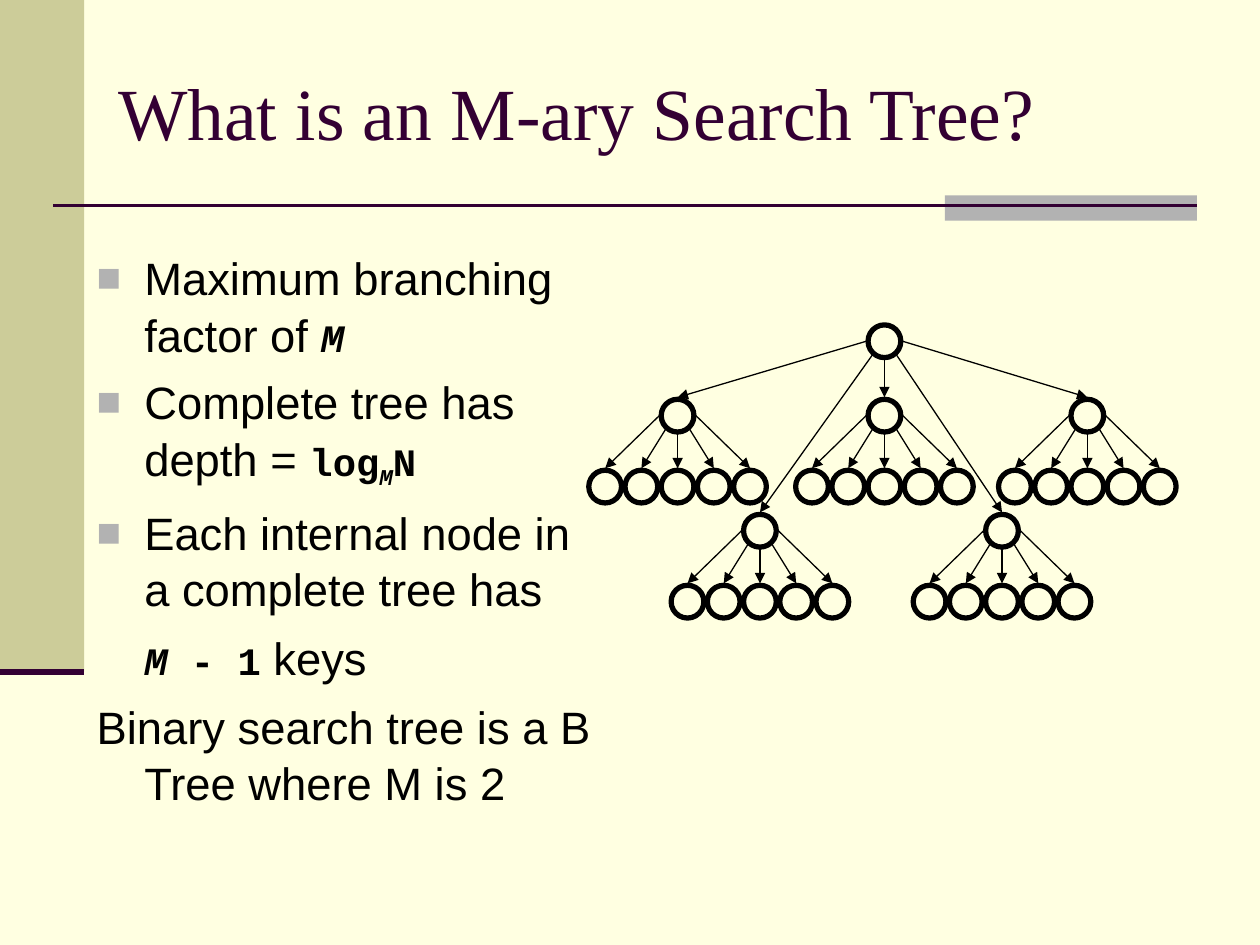
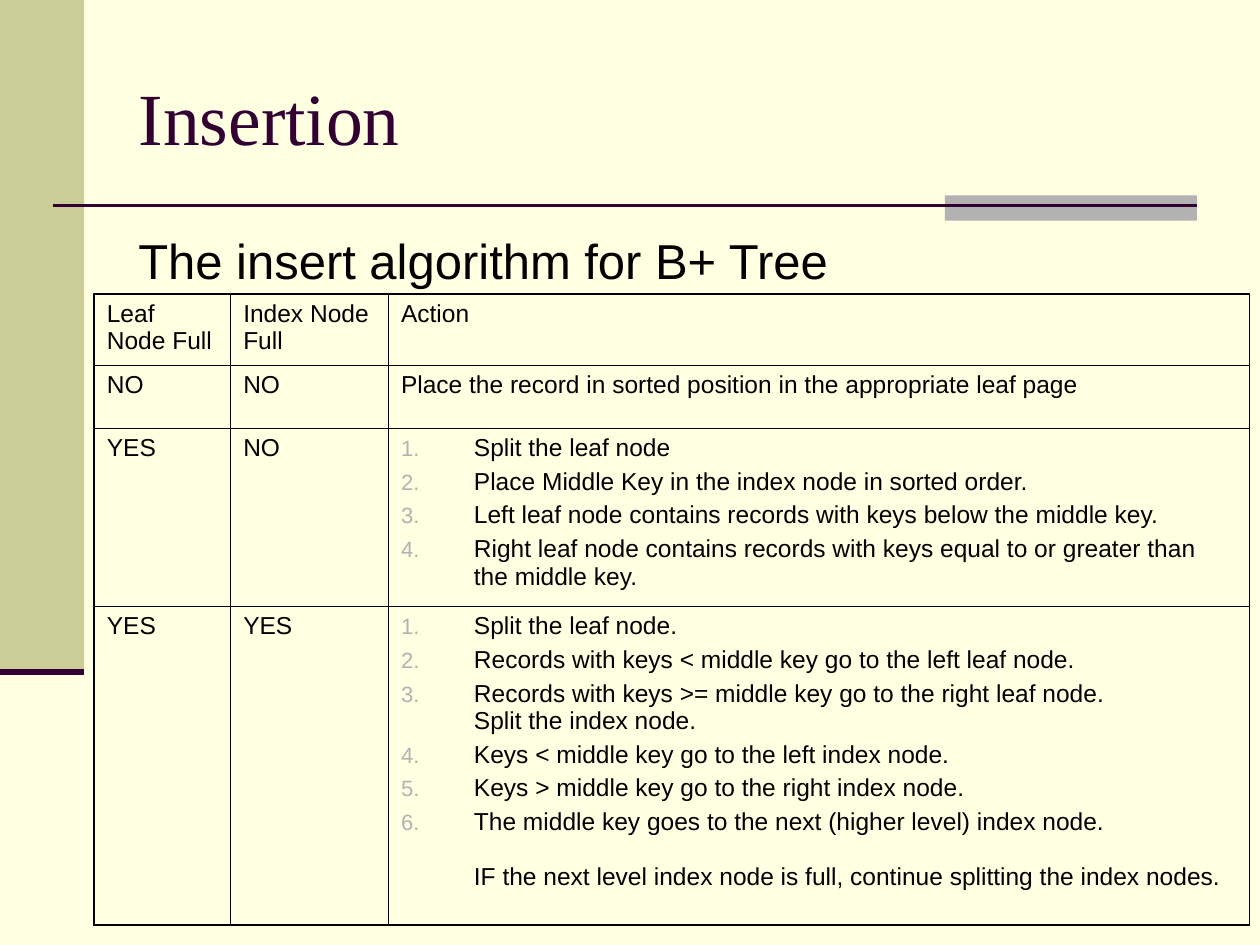
from pptx import Presentation
from pptx import util as u
from pptx.dml.color import RGBColor
from pptx.enum import shapes, text
from pptx.oxml import parse_xml
from pptx.oxml.ns import nsdecls, qn

CREAM, OLIVE, GREY, PLUM, BLACK = "FFFFE1", "CCCC99", "B2B2B2", "330033", "000000"

BANDS = [(0, 0, 1.7, 13.54, OLIVE), (19.05, 3.94, 5.08, 0.51, GREY)]
RULES = [((1.07, 4.14), (24.13, 4.14), 1.5), ((0, 13.54), (1.7, 13.54), 3.5)]

TITLE_FONT = {"name": "Times New Roman", "size": u.Pt(42)}
BODY_FONT = {"name": "Arial", "size": u.Pt(25.9)}
HEADING_FONT = {"name": "Arial", "size": u.Pt(28)}
CELL_FONT = {"name": "Arial", "size": u.Pt(14)}
CODE_FONT = {"name": "Courier New", "size": u.Pt(22.2), "bold": True}
VARIABLE_FONT = CODE_FONT | {"italic": True}

SQUARE = '<a:buChar {} char="■"/>'
NUMBER = '<a:buAutoNum {} type="arabicPeriod"/>'
HANG, NUMBER_HANG = 0.96, 1.47

TREE_FACTS = [
    (SQUARE, -HANG, 0, [("Maximum branching factor of ", {}), ("M", VARIABLE_FONT)]),
    (SQUARE, -HANG, 6, [("Complete tree has depth = ", {}), ("log", CODE_FONT),
                        ("M", VARIABLE_FONT | {"subscript": True}), ("N", CODE_FONT)]),
    (SQUARE, -HANG, 7, [("Each internal node in a complete tree has", {})]),
    (None, 0, 7, [("M ", VARIABLE_FONT), ("- 1", CODE_FONT), (" keys", {})]),
    (None, -HANG, 7, [("Binary search tree is a B Tree where M is 2", {})]),
]

ROOT = (17.83, 6.88)
INTERNAL_NODES = [(13.66, 8.38), (15.32, 10.7), (17.83, 8.38), (20.2, 10.7), (21.92, 8.38)]
NODE_SIZE, LEAF_STEP, LEAF_DROP = 0.66, 0.73, 1.43
ARROW_STARTS = [(-0.37, 0), (-0.24, 0.27), (0, 0.37), (0.24, 0.27), (0.37, 0)]

COLUMN_WIDTHS = [2.75, 3.18, 17.36]
ROW_HEIGHTS = [1.44, 1.27, 3.58, 6.43]
OUTER_BORDER, INNER_BORDER = 1.08, 0.45
INSERT_RULES = [
    ("Leaf Node Full", "Index Node Full", "Action"),
    ("NO", "NO", "Place the record in sorted position in the appropriate leaf page"),
    ("YES", "NO", [
        "Split the leaf node",
        "Place Middle Key in the index node in sorted order.",
        "Left leaf node contains records with keys below the middle key.",
        "Right leaf node contains records with keys equal to or greater than the middle key.",
    ]),
    ("YES", "YES", [
        "Split the leaf node.",
        "Records with keys < middle key go to the left leaf node.",
        "Records with keys >= middle key go to the right leaf node.\vSplit the index node.",
        "Keys < middle key go to the left index node.",
        "Keys > middle key go to the right index node.",
        "The middle key goes to the next (higher level) index node.",
    ]),
]
OVERFLOW_NOTE = "IF the next level index node is full, continue splitting the index nodes."


def rgb(value):
    return RGBColor.from_string(value)


def cm(*values):
    return [u.Cm(value) for value in values]


def set_font(font, values, color=BLACK):
    values = dict(values)
    if values.pop("subscript", False):
        font._element.set("baseline", "-25000")
    for name, value in values.items():
        setattr(font, name, value)
    font.color.rgb = rgb(color)


def format_paragraph(paragraph, bullet=None, margin=0, indent=0, space=0):
    properties = paragraph._p.get_or_add_pPr()
    properties.set("marL", str(u.Cm(margin)))
    properties.set("indent", str(u.Cm(indent)))
    if bullet:
        for xml in (f'<a:buClr {{}}><a:srgbClr val="{GREY}"/></a:buClr>',
                    '<a:buSzPct {} val="90000"/>',
                    '<a:buFont {} typeface="Arial"/>', bullet):
            properties.append(parse_xml(xml.format(nsdecls("a"))))
    paragraph.space_before = u.Pt(space)


def next_paragraph(frame, index):
    return frame.add_paragraph() if index else frame.paragraphs[0]


def add_line(slide, start, end, width, color=BLACK, arrow=False):
    line = slide.shapes.add_connector(shapes.MSO_CONNECTOR.STRAIGHT, *cm(*start, *end))
    line.line.width = u.Pt(width)
    line.line.color.rgb = rgb(color)
    if arrow:
        line.line._get_or_add_ln().append(
            parse_xml(f'<a:tailEnd {nsdecls("a")} type="triangle"/>'))
    line._element.spPr.append(parse_xml(f'<a:effectLst {nsdecls("a")}/>'))


def add_text_box(slide, *box):
    frame = slide.shapes.add_textbox(*cm(*box)).text_frame
    frame.word_wrap = True
    return frame


def add_slide(presentation, title, left, top, width):
    slide = presentation.slides.add_slide(presentation.slide_layouts[5])
    for *box, color in BANDS:
        band = slide.shapes.add_shape(shapes.MSO_SHAPE.RECTANGLE, *cm(*box))
        band.shadow.inherit = False
        band.fill.solid()
        band.fill.fore_color.rgb = rgb(color)
        band.line.fill.background()
    for start, end, width_points in RULES:
        add_line(slide, start, end, width_points, PLUM)
    shape = slide.shapes.title
    shape.left, shape.top, shape.width, shape.height = cm(left, top, width, 3.18)
    frame = shape.text_frame
    frame.text = title
    frame.auto_size = text.MSO_AUTO_SIZE.NONE
    frame.vertical_anchor = text.MSO_ANCHOR.MIDDLE
    paragraph = frame.paragraphs[0]
    paragraph.alignment = text.PP_ALIGN.LEFT
    set_font(paragraph.runs[0].font, TITLE_FONT, PLUM)
    return slide


def add_node(slide, x, y):
    half = NODE_SIZE / 2
    node = slide.shapes.add_shape(
        shapes.MSO_SHAPE.OVAL, *cm(x - half, y - half, NODE_SIZE, NODE_SIZE))
    node.shadow.inherit = False
    node.fill.background()
    node.line.color.rgb = rgb(BLACK)
    node.line.width = u.Pt(3)


def add_family(slide, parent, children):
    x, y = parent
    add_node(slide, x, y)
    for (dx, dy), (child_x, child_y) in zip(ARROW_STARTS, children):
        add_line(slide, (x + dx, y + dy), (child_x, child_y - 0.37), 0.75, arrow=True)


def add_tree(slide):
    for x, y in INTERNAL_NODES:
        leaves = [(x + step * LEAF_STEP, y + LEAF_DROP) for step in range(-2, 3)]
        for leaf in leaves:
            add_node(slide, *leaf)
        add_family(slide, (x, y), leaves)
    add_family(slide, ROOT, INTERNAL_NODES)


def add_facts(slide):
    frame = add_text_box(slide, 1.7, 4.88, 10.8, 11.43)
    for index, (bullet, indent, space, runs) in enumerate(TREE_FACTS):
        paragraph = next_paragraph(frame, index)
        format_paragraph(paragraph, bullet, HANG, indent, space)
        paragraph.line_spacing = 1.04
        for words, font in runs:
            run = paragraph.add_run()
            run.text = words
            set_font(run.font, BODY_FONT | font)


def set_borders(cell, row, column):
    outer = {"lnL": column == 0, "lnR": column == len(COLUMN_WIDTHS) - 1,
             "lnT": row == 0, "lnB": row == len(ROW_HEIGHTS) - 1}
    properties = cell._tc.get_or_add_tcPr()
    for side, is_outer in outer.items():
        width = u.Pt(OUTER_BORDER if is_outer else INNER_BORDER)
        properties.append(parse_xml(
            f'<a:{side} {nsdecls("a")} w="{width}"><a:solidFill>'
            f'<a:srgbClr val="{BLACK}"/></a:solidFill></a:{side}>'))


def fill_cell(cell, content):
    steps = content if isinstance(content, list) else None
    frame = cell.text_frame
    for index, words in enumerate(steps or [content]):
        paragraph = next_paragraph(frame, index)
        if steps:
            format_paragraph(paragraph, NUMBER, NUMBER_HANG, -NUMBER_HANG, 3.5 if index else 0)
        paragraph.text = words
    if steps is INSERT_RULES[-1][-1]:
        paragraph = frame.add_paragraph()
        format_paragraph(paragraph, None, NUMBER_HANG, 0, 16)
        paragraph.text = OVERFLOW_NOTE
    for paragraph in frame.paragraphs:
        for run in paragraph.runs:
            set_font(run.font, CELL_FONT)


def add_rules_table(slide):
    table = slide.shapes.add_table(
        len(ROW_HEIGHTS), len(COLUMN_WIDTHS),
        *cm(1.9, 5.92, sum(COLUMN_WIDTHS), sum(ROW_HEIGHTS))).table
    table.first_row = table.horz_banding = False
    for column, width in zip(table.columns, COLUMN_WIDTHS):
        column.width = u.Cm(width)
    for row, height in zip(table.rows, ROW_HEIGHTS):
        row.height = u.Cm(height)
    for row, contents in enumerate(INSERT_RULES):
        for column, content in enumerate(contents):
            cell = table.cell(row, column)
            set_borders(cell, row, column)
            cell.fill.background()
            fill_cell(cell, content)


def main():
    presentation = Presentation()
    presentation.slide_width, presentation.slide_height = cm(25.4, 19.05)
    background = presentation.slide_master.background.fill
    background.solid()
    background.fore_color.rgb = rgb(CREAM)

    tree_slide = add_slide(presentation, "What is an M-ary Search Tree?", 2.13, 0.64, 21.8)
    add_facts(tree_slide)
    add_tree(tree_slide)

    insertion_slide = add_slide(presentation, "Insertion", 2.54, 0.76, 21.59)
    heading = add_text_box(insertion_slide, 2.54, 4.52, 21.59, 1.4).paragraphs[0]
    run = heading.add_run()
    run.text = "The insert algorithm for B+ Tree"
    set_font(run.font, HEADING_FONT)
    add_rules_table(insertion_slide)
    presentation.save("out.pptx")


if __name__ == "__main__":
    main()
